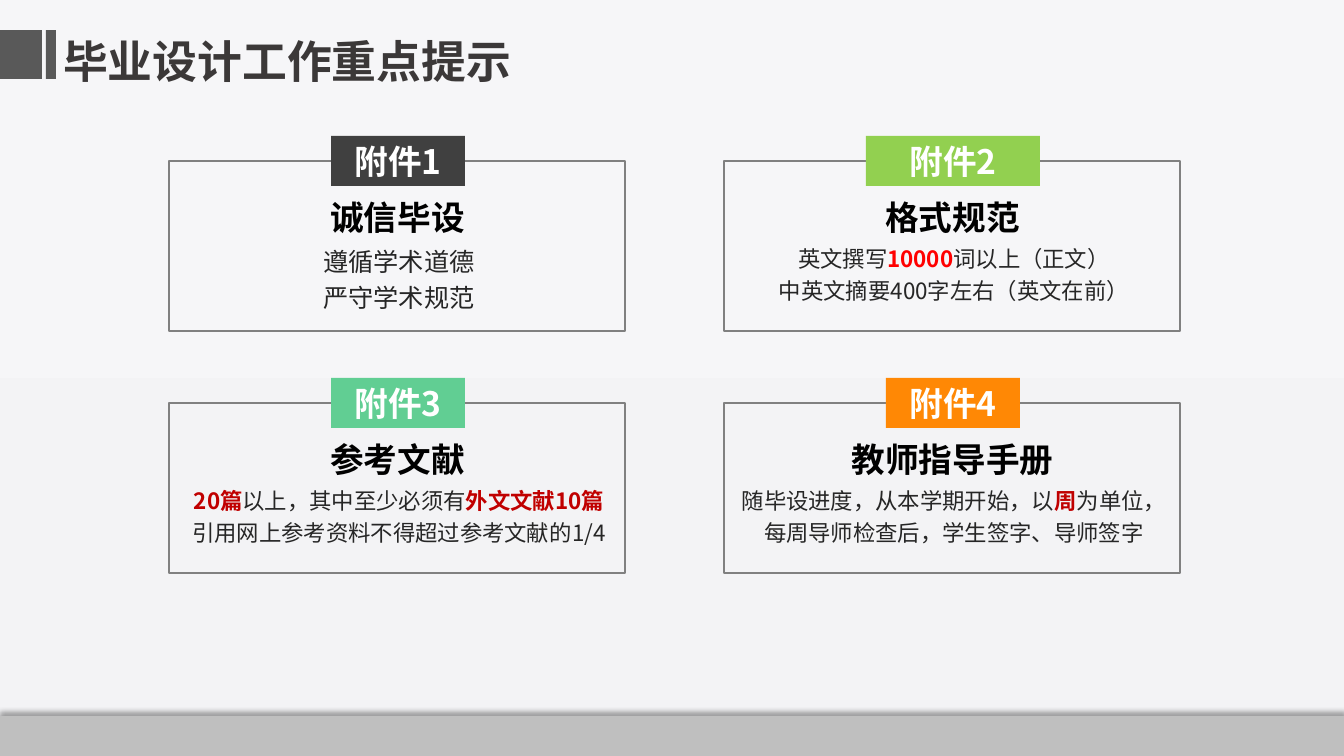
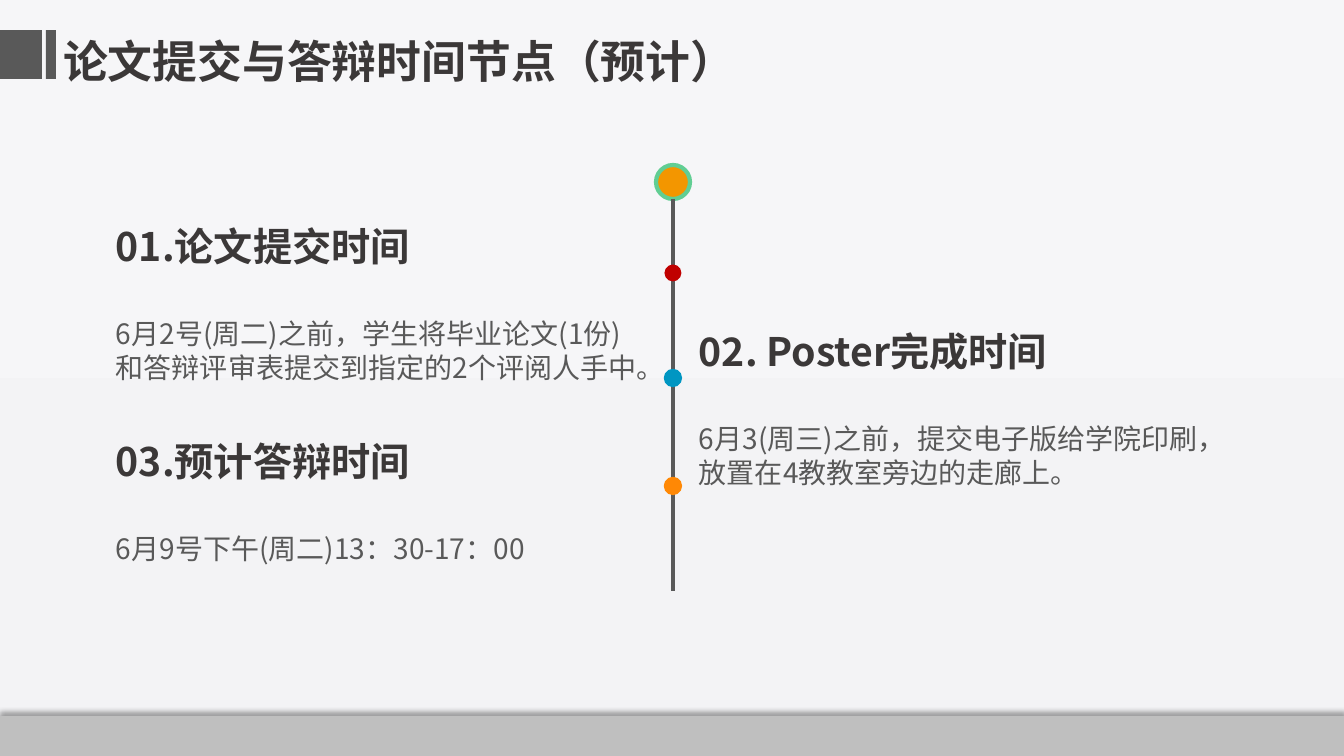
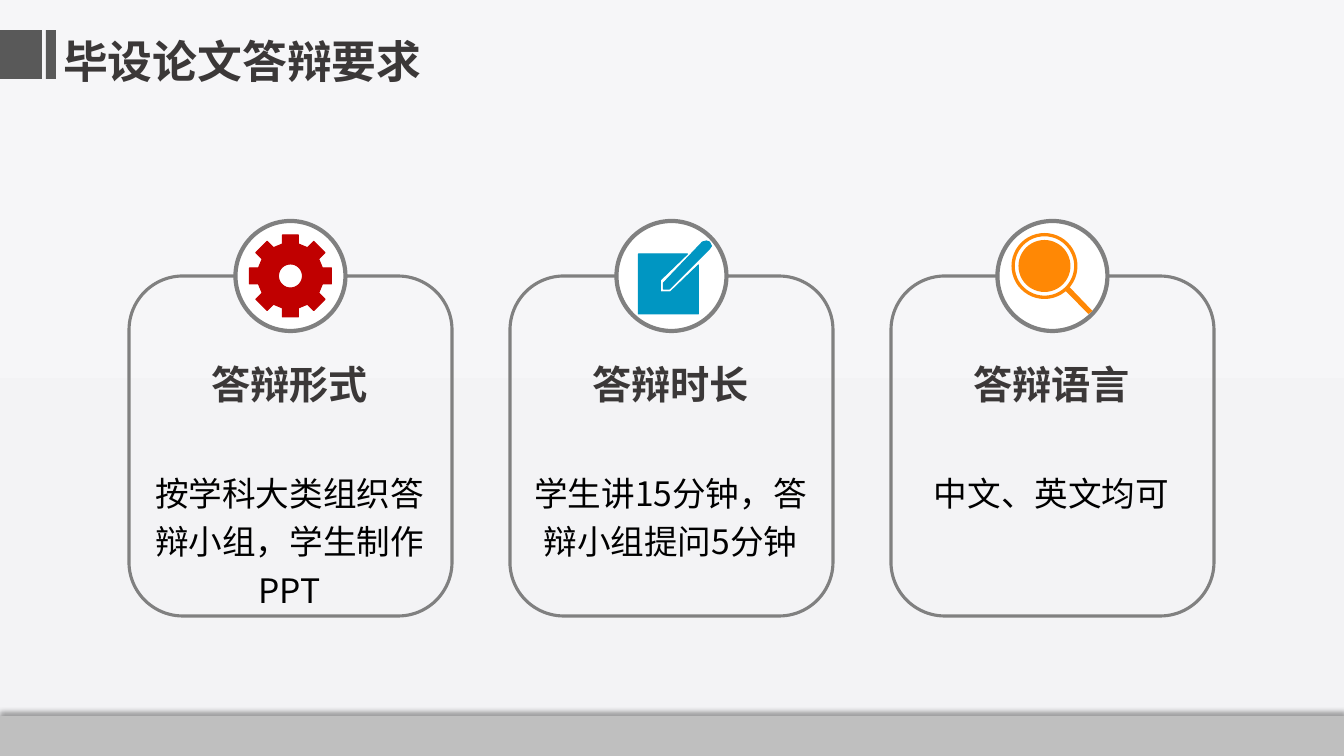
import math

import lxml.etree
import pptx
import pptx.dml.color
import pptx.enum.shapes
import pptx.enum.text
import pptx.oxml.ns
import pptx.util

RGB = pptx.dml.color.RGBColor
SHAPE = pptx.enum.shapes.MSO_SHAPE
ALIGN = pptx.enum.text.PP_ALIGN
qn = pptx.oxml.ns.qn

SCALE = 914400 / 100.8
PAGE_WIDTH, PAGE_HEIGHT = 1344, 756
TITLE_ONLY = 5
FONT = "Noto Sans CJK SC"

PAGE_TOP = RGB(0xF6, 0xF6, 0xF8)
PAGE_BOTTOM = RGB(0xF3, 0xF3, 0xF5)
FOOTER = RGB(0xBF, 0xBF, 0xBF)
GRAY = RGB(0x59, 0x59, 0x59)
FRAME = RGB(0x80, 0x80, 0x80)
HEADING = RGB(0x3B, 0x38, 0x38)
CHARCOAL = RGB(0x40, 0x40, 0x40)
INK = RGB(0x26, 0x26, 0x26)
BLACK = RGB(0x00, 0x00, 0x00)
WHITE = RGB(0xFF, 0xFF, 0xFF)
RED = RGB(0xC0, 0x00, 0x00)
BRIGHT_RED = RGB(0xFF, 0x00, 0x00)
LIME = RGB(0x92, 0xD0, 0x50)
GREEN = RGB(0x61, 0xCE, 0x93)
BLUE = RGB(0x00, 0x96, 0xC2)
ORANGE = RGB(0xFF, 0x88, 0x05)
AMBER = RGB(0xF3, 0x96, 0x00)


def px(length):
    return round(length * SCALE)


def paint(shape, fill=None, line=None, weight=1):
    shape.shadow.inherit = False
    if fill is None:
        shape.fill.background()
    else:
        shape.fill.solid()
        shape.fill.fore_color.rgb = fill
    if line is None:
        shape.line.fill.background()
    else:
        shape.line.color.rgb = line
        shape.line.width = pptx.util.Pt(weight)
    return shape


def add_box(page, kind, left, top, width, height, **style):
    box = page.shapes.add_shape(kind, px(left), px(top), px(width), px(height))
    return paint(box, **style)


def add_circle(page, center_x, center_y, size, **style):
    return add_box(page, SHAPE.OVAL, center_x - size / 2, center_y - size / 2,
                   size, size, **style)


def add_outline(page, center_x, center_y, contours, **style):
    """Draw closed contours whose points are px from the given centre."""
    builder = None
    for contour in contours:
        points = [(px(x), px(y)) for x, y in contour]
        if builder is None:
            builder = page.shapes.build_freeform(*points[0])
        else:
            builder.move_to(*points[0])
        builder.add_line_segments(points[1:], close=True)
    return paint(builder.convert_to_shape(px(center_x), px(center_y)), **style)


def format_span(span, size, color, bold=False):
    span.font.name = FONT
    span.font.size = pptx.util.Pt(size)
    span.font.bold = bold
    span.font.color.rgb = color
    east_asian = lxml.etree.SubElement(span.font._element, qn("a:ea"))
    east_asian.set("typeface", FONT)


def write_line(para, text, size, color, bold=False, align=ALIGN.LEFT,
               spacing=None, before=0):
    para.text = text
    para.alignment = align
    para.line_spacing = spacing
    if before:
        para.space_before = pptx.util.Pt(before)
    for span in para.runs:
        format_span(span, size, color, bold)


def add_text(page, left, top, width, height):
    box = page.shapes.add_textbox(px(left), px(top), px(width), px(height))
    box.text_frame.word_wrap = True
    box.text_frame.auto_size = pptx.enum.text.MSO_AUTO_SIZE.SHAPE_TO_FIT_TEXT
    return box.text_frame


def add_section(page, left, top, width, height, heading, body, size, color,
                gap, **style):
    """Write a heading and, after a gap in points, its body text."""
    frame = add_text(page, left, top, width, height)
    write_line(frame.paragraphs[0], heading, 28, HEADING, bold=True, **style)
    write_line(frame.add_paragraph(), body, size, color, before=gap, **style)


def decorate_master(deck, page):
    """Set the shared background, then build the bands on page and move them to the master."""
    master = deck.slide_master
    fill = master.background.fill
    fill.gradient()
    fill.gradient_angle = 270
    for stop, color in zip(fill.gradient_stops, (PAGE_TOP, PAGE_BOTTOM)):
        stop.color.rgb = color

    footer = add_box(page, SHAPE.RECTANGLE, 0, 716, PAGE_WIDTH, 40, fill=FOOTER)
    effects = footer.element.spPr.find(qn("a:effectLst"))
    shadow = lxml.etree.SubElement(effects, qn("a:outerShdw"), blurRad="50800",
                                   dist="38100", dir="16200000", algn="b",
                                   rotWithShape="0")
    black = lxml.etree.SubElement(shadow, qn("a:srgbClr"), val="000000")
    lxml.etree.SubElement(black, qn("a:alpha"), val="40000")

    bands = [footer]
    for left, width in ((0, 42), (46, 10)):
        bands.append(add_box(page, SHAPE.RECTANGLE, left, 30, width, 49, fill=GRAY))
    for number, band in enumerate(bands, 101):
        band.element.xpath("./p:nvSpPr/p:cNvPr")[0].set("id", str(number))
        master.shapes.element.append(band.element)


def add_page(deck, title, title_width=712):
    page = deck.slides.add_slide(deck.slide_layouts[TITLE_ONLY])
    box = page.shapes.title
    box.left, box.top = px(53), px(18)
    box.width, box.height = px(title_width), px(70)
    frame = box.text_frame
    frame.word_wrap = True
    frame.auto_size = pptx.enum.text.MSO_AUTO_SIZE.SHAPE_TO_FIT_TEXT
    frame.vertical_anchor = pptx.enum.text.MSO_ANCHOR.TOP
    write_line(frame.paragraphs[0], title, 32, HEADING, bold=True, spacing=1.2)
    return page


def add_attachment(page, left, top, tag, tag_color, tag_width, heading, size, lines):
    """Draw a framed card; lines hold (text, colour) spans, bold unless in INK."""
    width, height = 456, 170
    add_box(page, SHAPE.RECTANGLE, left, top, width, height, line=FRAME, weight=1.5)
    label = add_box(page, SHAPE.RECTANGLE, left + (width - tag_width) / 2 + 1,
                    top - 25, tag_width, 50, fill=tag_color)
    write_line(label.text_frame.paragraphs[0], tag, 24, WHITE, bold=True,
               align=ALIGN.CENTER)
    frame = add_text(page, left + 116, top + 31, 225, 50)
    write_line(frame.paragraphs[0], heading, 24, BLACK, bold=True, align=ALIGN.CENTER)
    frame = add_text(page, left + 4, top + 74, 452, 73)
    for index, spans in enumerate(lines):
        para = frame.add_paragraph() if index else frame.paragraphs[0]
        para.alignment = ALIGN.CENTER
        para.line_spacing = 1.2
        for text, color in spans:
            span = para.add_run()
            span.text = text
            format_span(span, size, color, bold=color != INK)


def build_attachments(page):
    cards = [
        ("附件1", CHARCOAL, 134, "诚信毕设", 18,
         [[("遵循学术道德", INK)], [("严守学术规范", INK)]]),
        ("附件2", LIME, 174, "格式规范", 16,
         [[("英文撰写", INK), ("10000", BRIGHT_RED), ("词以上（正文）", INK)],
          [("中英文摘要400字左右（英文在前）", INK)]]),
        ("附件3", GREEN, 134, "参考文献", 16,
         [[("20篇", RED), ("以上，其中至少必须有", INK), ("外文文献10篇", RED)],
          [("引用网上参考资料不得超过参考文献的1/4", INK)]]),
        ("附件4", ORANGE, 134, "教师指导手册", 16,
         [[("随毕设进度，从本学期开始，以", INK), ("周", RED), ("为单位，", INK)],
          [("每周导师检查后，学生签字、导师签字", INK)]]),
    ]
    for index, card in enumerate(cards):
        row, column = divmod(index, 2)
        add_attachment(page, 169 + 555 * column, 161 + 242 * row, *card)


def add_timeline(page, axis, top, bottom):
    node = 34
    add_circle(page, axis, top + node / 2, node, fill=AMBER, line=GREEN, weight=3)
    stem = page.shapes.add_connector(pptx.enum.shapes.MSO_CONNECTOR.STRAIGHT,
                                     px(axis), px(top + node), px(axis), px(bottom))
    stem.line.color.rgb = GRAY
    stem.line.width = pptx.util.Pt(2.25)
    lxml.etree.SubElement(stem.element.spPr, qn("a:effectLst"))
    for offset, color, line in ((108, RED, None), (213, BLUE, BLUE),
                                (321, ORANGE, ORANGE)):
        add_circle(page, axis, top + offset, 17, fill=color, line=line)


def build_schedule(page):
    add_timeline(page, 673, 165, 591)
    milestones = [
        (106, 217, 173, "01.论文提交时间",
         "6月2号(周二)之前，学生将毕业论文(1份)和答辩评审表提交到指定的2个评阅人手中。"),
        (689, 322, 221, "02. Poster完成时间",
         "6月3(周三)之前，提交电子版给学院印刷，放置在4教教室旁边的走廊上。"),
        (106, 432, 139, "03.预计答辩时间", "6月9号下午(周二)13：30-17：00"),
    ]
    for left, top, height, heading, body in milestones:
        add_section(page, left, top, 552, height, heading, body, 20, GRAY, gap=34)


def draw_gear(page, x, y):
    teeth = []
    for step in range(8):
        cosine, sine = math.cos(step * math.pi / 4), math.sin(step * math.pi / 4)
        for along, across in ((32, -8), (41, -8), (41, 8), (32, 8)):
            teeth.append((along * cosine - across * sine, along * sine + across * cosine))
    hole = [(12 * math.cos(step * math.pi / 18), -12 * math.sin(step * math.pi / 18))
            for step in range(36)]
    add_outline(page, x, y, [teeth, hole], fill=RED, line=RED, weight=0.75)


def draw_notepad(page, x, y):
    pencil = [(-8, 7), (31, -34), (35, -35), (38, -34), (40, -30), (38, -27),
              (-2, 13), (-8, 13)]
    pad = [(-33, -22), (16, -22), (-11, 4), (-11, 16), (-1, 16), (27, -11),
           (27, 38), (-33, 38)]
    for contour in (pencil, pad):
        add_outline(page, x, y, [contour], fill=BLUE, line=BLUE, weight=0.75)


def draw_magnifier(page, x, y):
    ring = add_box(page, SHAPE.DONUT, x - 41, y - 43, 66, 66, fill=ORANGE)
    ring.adjustments[0] = 0.05
    handle = [(17, 11), (40, 35), (36, 38), (13, 15)]
    add_outline(page, x, y, [handle], fill=ORANGE)
    add_circle(page, x - 8, y - 10, 52, fill=ORANGE)


def add_requirement(page, left, top, draw_icon, heading, body, text_height):
    width = 323
    add_box(page, SHAPE.ROUNDED_RECTANGLE, left, top, width, 340, line=FRAME, weight=2.25)
    center = left + width / 2
    add_circle(page, center, top, 110, fill=WHITE, line=FRAME, weight=3)
    draw_icon(page, center, top)
    add_section(page, left + 8, top + 70, 305, text_height, heading, body, 24, BLACK,
                gap=41, align=ALIGN.CENTER, spacing=1.2)


def build_requirements(page):
    cards = [
        (draw_gear, "答辩形式", "按学科大类组织答辩小组，学生制作PPT", 266),
        (draw_notepad, "答辩时长", "学生讲15分钟，答辩小组提问5分钟", 218),
        (draw_magnifier, "答辩语言", "中文、英文均可", 169),
    ]
    for index, card in enumerate(cards):
        add_requirement(page, 129 + 381 * index, 276, *card)


def main():
    deck = pptx.Presentation()
    deck.slide_width, deck.slide_height = px(PAGE_WIDTH), px(PAGE_HEIGHT)
    page = add_page(deck, "毕业设计工作重点提示", title_width=503)
    decorate_master(deck, page)
    build_attachments(page)
    build_schedule(add_page(deck, "论文提交与答辩时间节点（预计）"))
    build_requirements(add_page(deck, "毕设论文答辩要求"))
    deck.save("out.pptx")


if __name__ == "__main__":
    main()
